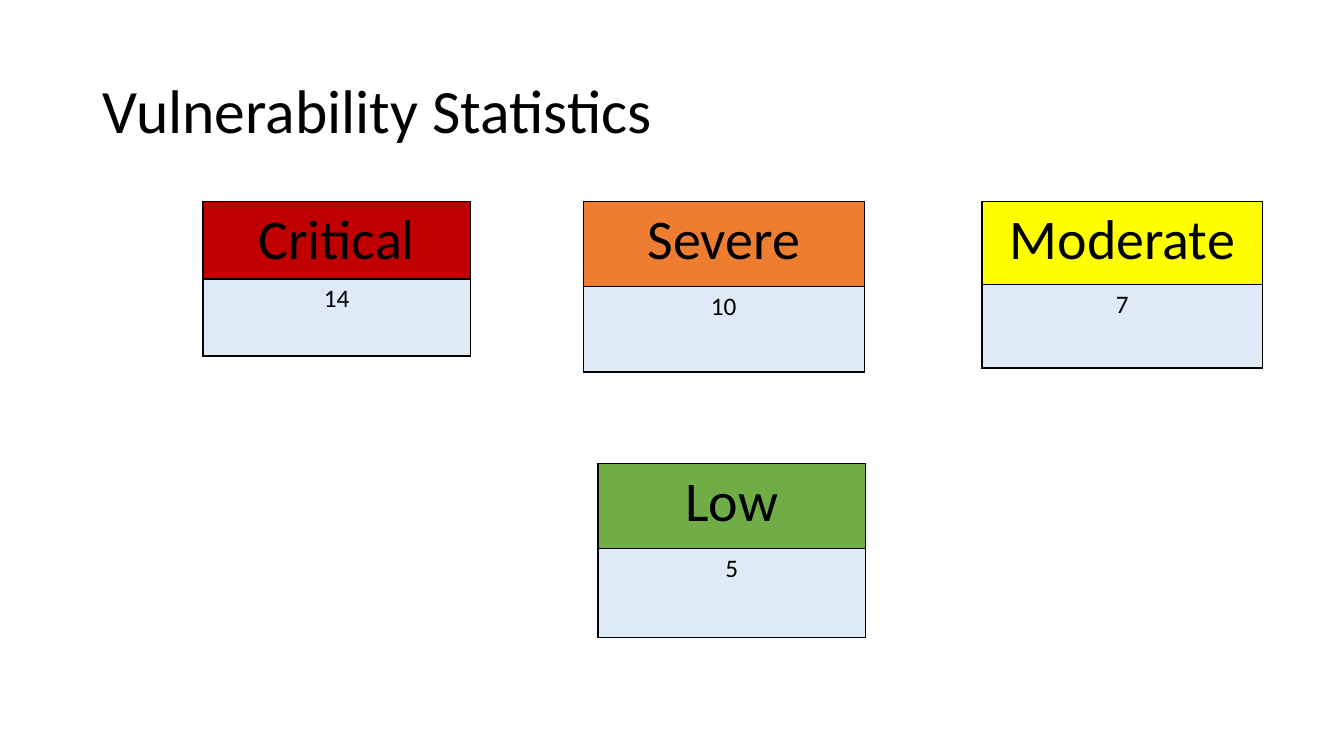
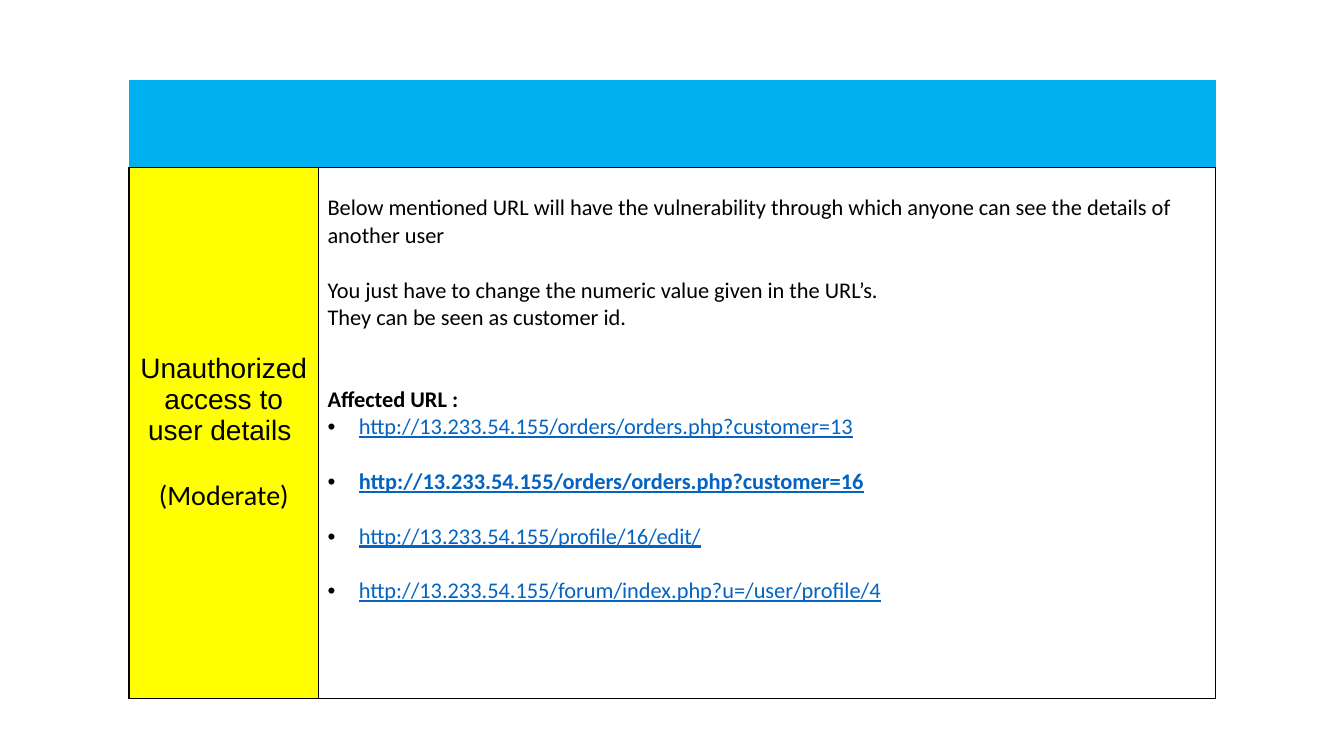
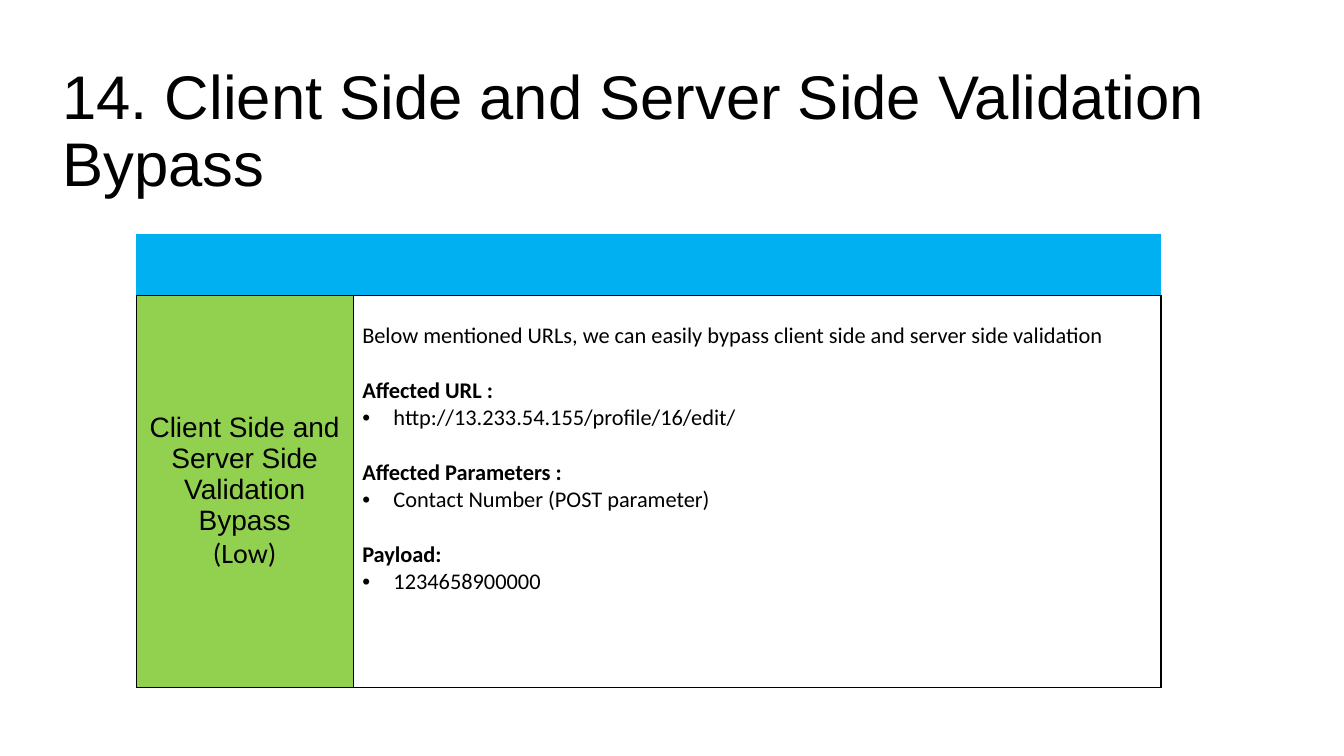
from dataclasses import dataclass

from lxml.etree import SubElement
from pptx import Presentation
from pptx.dml.color import RGBColor
from pptx.enum.text import MSO_ANCHOR, PP_ALIGN
from pptx.oxml.ns import qn
from pptx.util import Inches, Pt

PLAIN = "{2D5ABB26-0587-4C30-8999-92F81FD0307C}"
BLACK, WHITE, BLUE = "000000", "FFFFFF", "0563C1"
BAND, PALE = "00B0F0", "DEEBF7"
SANS, BODY = "Arial", "Calibri"
GAP = 19.5


def paint(code):
    return RGBColor.from_string(code)


@dataclass
class Line:
    text: str
    size: float = 16
    font: str = BODY
    tint: str = BLACK
    bold: bool = False
    under: bool = False
    dot: bool = False
    gap: float = 0


def head(text, gap=GAP):
    return Line(text, bold=True, gap=gap)


def item(text):
    return Line(text, dot=True)


def link(text, gap=GAP, bold=False):
    return Line(text, tint=BLUE, bold=bold, under=True, dot=True, gap=gap)


class Deck:
    def __init__(self):
        self.show = Presentation()
        self.show.slide_width = Inches(13.33)
        self.show.slide_height = Inches(7.5)
        self.slide = None

    def page(self):
        self.slide = self.show.slides.add_slide(self.show.slide_layouts[6])

    def across(self, share):
        return int(self.show.slide_width * share / 100)

    def down(self, share):
        return int(self.show.slide_height * share / 100)

    def fill_text(self, frame, lines, align=PP_ALIGN.LEFT):
        for spot, line in enumerate(lines):
            para = frame.add_paragraph() if spot else frame.paragraphs[0]
            if line.dot:
                self.bullet(para)
            para.alignment = align
            if line.gap:
                para.space_before = Pt(line.gap)
            run = para.add_run()
            run.text = line.text
            font = run.font
            font.name = line.font
            font.size = Pt(line.size)
            font.bold = line.bold
            font.underline = line.under
            font.color.rgb = paint(line.tint)

    def bullet(self, para):
        props = para._p.get_or_add_pPr()
        props.set("marL", str(Inches(0.31)))
        props.set("indent", str(-Inches(0.31)))
        tint = SubElement(props, qn("a:buClr"))
        SubElement(tint, qn("a:srgbClr"), val=BLACK)
        SubElement(props, qn("a:buFont"), typeface=SANS)
        SubElement(props, qn("a:buChar"), char="•")

    def title(self, text, font, left, top, width, height):
        box = self.slide.shapes.add_textbox(
            self.across(left), self.down(top), self.across(width), self.down(height))
        frame = box.text_frame
        frame.word_wrap = True
        frame.vertical_anchor = MSO_ANCHOR.MIDDLE
        self.fill_text(frame, [Line(text, 44, font)])
        frame.paragraphs[0].line_spacing = 0.9

    def table(self, left, top, cols, rows):
        table = self.slide.shapes.add_table(
            len(rows), len(cols), self.across(left), self.down(top),
            self.across(sum(cols)), self.down(sum(rows))).table
        table._tbl.tblPr.find(qn("a:tableStyleId")).text = PLAIN
        table.first_row = table.horz_banding = False
        for col, share in zip(table.columns, cols):
            col.width = self.across(share)
        for row, share in zip(table.rows, rows):
            row.height = self.down(share)
        return table

    def cell(self, cell, fill, sides="LRTB"):
        props = cell._tc.get_or_add_tcPr()
        for side in sides:
            edge = SubElement(props, qn("a:ln" + side), w=str(Pt(1)))
            tint = SubElement(edge, qn("a:solidFill"))
            SubElement(tint, qn("a:srgbClr"), val=BLACK)
        cell.fill.solid()
        cell.fill.fore_color.rgb = paint(fill)

    def card(self, name, count, fill, left, top, width, rows):
        table = self.table(left, top, [width], rows)
        parts = [(name, 40, fill), (count, 18, PALE)]
        for row, (text, size, tint) in enumerate(parts):
            cell = table.cell(row, 0)
            self.cell(cell, tint)
            self.fill_text(cell.text_frame, [Line(text, size)], PP_ALIGN.CENTER)

    def issue(self, left, top, cols, rows, fill, label, lines):
        table = self.table(left, top, cols, rows)
        for col in range(2):
            self.cell(table.cell(0, col), BAND, "B")
        name, notes = table.cell(1, 0), table.cell(1, 1)
        for cell, tint in ((name, fill), (notes, WHITE)):
            self.cell(cell, tint)
            cell.margin_left = cell.margin_right = Inches(0.09)
        name.vertical_anchor = MSO_ANCHOR.MIDDLE
        notes.margin_top = Inches(0.27)
        self.fill_text(name.text_frame, label, PP_ALIGN.CENTER)
        self.fill_text(notes.text_frame, lines)


def main():
    deck = Deck()

    deck.page()
    deck.title("Vulnerability Statistics", BODY, 6.9, 5.33, 86.25, 19.33)
    for card in (
        ("Critical", "14", "C00000", 15.1, 26.67, 19.9, [10.2, 10.2]),
        ("Severe", "10", "ED7D31", 43.4, 26.67, 20.9, [11.27, 11.27]),
        ("Moderate", "7", "FFFF00", 73.06, 26.67, 20.9, [11, 11]),
        ("Low", "5", "70AD47", 44.5, 61.33, 19.9, [11.2, 11.8]),
    ):
        deck.card(*card)

    deck.page()
    site = "http://13.233.54.155/"
    deck.issue(
        9.6, 10.55, [14.1, 66.75], [11.6, 70.3], "FFFF00",
        [Line("Unauthorized access to user details ", 20, SANS),
         Line("(Moderate)", 20, gap=23)],
        [Line("Below mentioned URL will have the vulnerability through which "
              "anyone can see the details of another user"),
         Line("You just have to change the numeric value given in the URL’s.", gap=GAP),
         Line("They can be seen as customer id."),
         head("Affected URL :", 2 * GAP),
         link(site + "orders/orders.php?customer=13", 0),
         link(site + "orders/orders.php?customer=16", bold=True),
         link(site + "profile/16/edit/"),
         link(site + "forum/index.php?u=/user/profile/4")])

    deck.page()
    flaw = "Client Side and Server Side Validation Bypass"
    deck.title("14. " + flaw, SANS, 3.9, 5.33, 89.2, 24.5)
    deck.issue(
        10.13, 30.95, [16.15, 60.1], [8.1, 51.9], "92D050",
        [Line(flaw, 20, SANS), Line("(Low)", 20)],
        [Line("Below mentioned URLs, we can easily bypass client side "
              "and server side validation"),
         head("Affected URL :"),
         item(site + "profile/16/edit/"),
         head("Affected Parameters :"),
         item("Contact Number (POST parameter)"),
         head("Payload:"),
         item("1234658900000")])

    deck.show.save("out.pptx")


if __name__ == "__main__":
    main()
